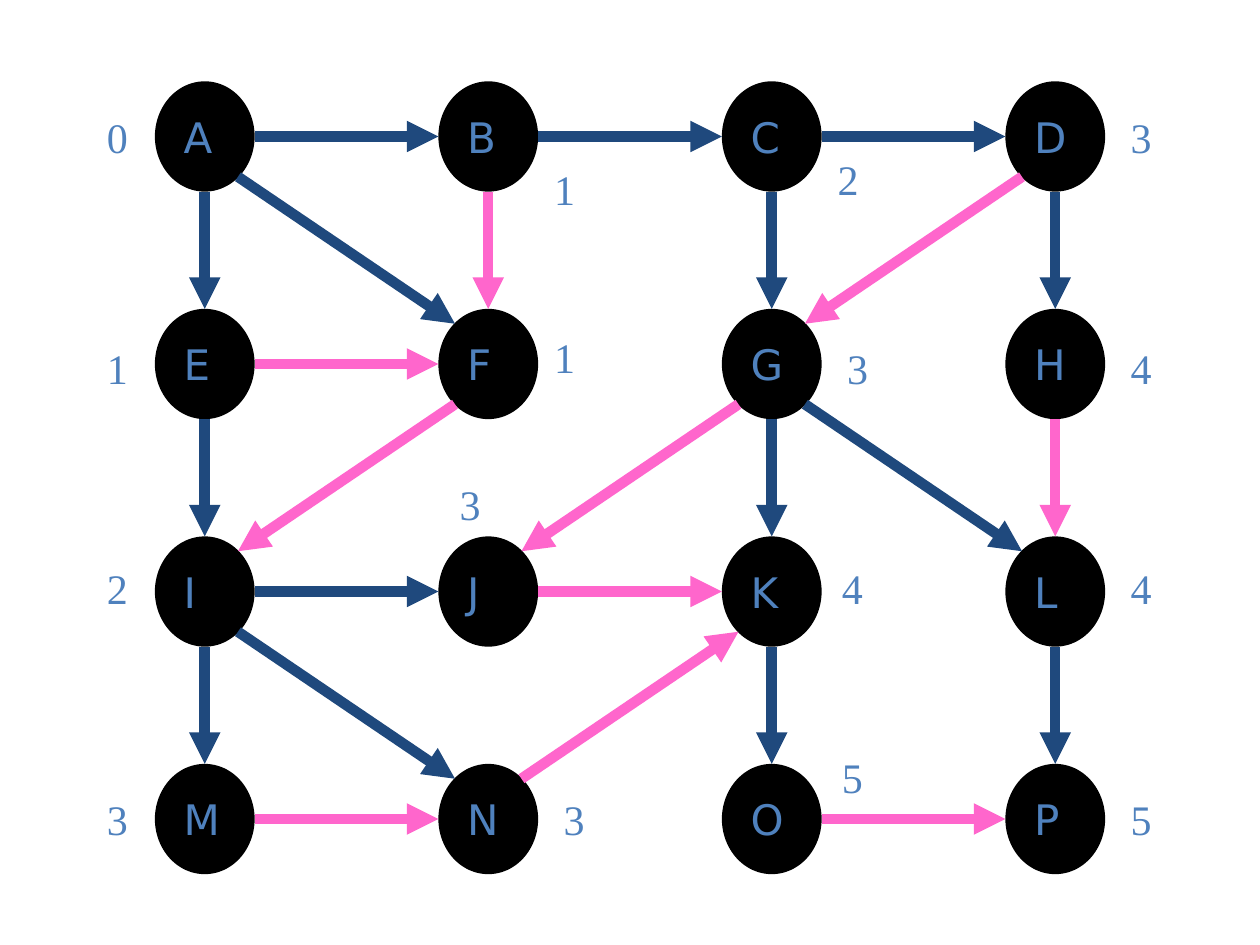
from dataclasses import dataclass

import lxml.etree
import pptx
import pptx.dml.color
import pptx.enum.shapes
import pptx.enum.text
import pptx.oxml.ns
import pptx.util

EMU_PER_PX = 6350
SLIDE_WIDTH, SLIDE_HEIGHT = 1440, 1080
LEFT, TOP = 180, 96
COLUMN_PITCH, ROW_PITCH = 324, 260
NODE_WIDTH, NODE_HEIGHT = 108, 120
OUTLINE_GAP = 3
DIAGONAL_X, DIAGONAL_Y = 38, 46
LABEL_WIDTH, LABEL_HEIGHT = 53, 72

BLACK = pptx.dml.color.RGBColor(0x00, 0x00, 0x00)
WHITE = pptx.dml.color.RGBColor(0xFF, 0xFF, 0xFF)
BLUE = pptx.dml.color.RGBColor(0x4F, 0x81, 0xBD)
NAVY = pptx.dml.color.RGBColor(0x1F, 0x49, 0x7D)
PINK = pptx.dml.color.RGBColor(0xFF, 0x66, 0xCC)


@dataclass(frozen=True)
class Node:
    letter: str
    column: int
    row: int

    @property
    def left(self) -> int:
        return LEFT + self.column * COLUMN_PITCH

    @property
    def top(self) -> int:
        return TOP + self.row * ROW_PITCH

    def rim(self, step_x: int, step_y: int) -> tuple[int, int]:
        if step_x and step_y:
            reach_x, reach_y = DIAGONAL_X, DIAGONAL_Y
        else:
            reach_x = NODE_WIDTH // 2 + OUTLINE_GAP
            reach_y = NODE_HEIGHT // 2 + OUTLINE_GAP
        return (self.left + NODE_WIDTH // 2 + step_x * reach_x,
                self.top + NODE_HEIGHT // 2 + step_y * reach_y)


@dataclass(frozen=True)
class Distance:
    value: int
    left: int
    top: int


NODES = {letter: Node(letter, index % 4, index // 4)
         for index, letter in enumerate("ABCDEFGHIJKLMNOP")}
TREE_EDGES = "AB BC CD AE AF CG DH EI GK GL IJ IM IN KO LP".split()
OTHER_EDGES = "BF DG EF FI GJ HL JK MN NK OP".split()
DISTANCES = [
    Distance(0, 108, 120), Distance(1, 619, 180),
    Distance(2, 943, 168), Distance(3, 1278, 120),
    Distance(1, 108, 384), Distance(1, 619, 372),
    Distance(3, 954, 384), Distance(4, 1278, 384),
    Distance(2, 108, 636), Distance(3, 511, 540),
    Distance(4, 948, 636), Distance(4, 1278, 636),
    Distance(3, 108, 900), Distance(3, 630, 900),
    Distance(5, 948, 852), Distance(5, 1278, 900),
]


def px(length: int) -> pptx.util.Emu:
    return pptx.util.Emu(length * EMU_PER_PX)


def write(frame: pptx.text.text.TextFrame, text: str, font_name: str) -> None:
    frame.text = text
    frame.word_wrap = False
    paragraph = frame.paragraphs[0]
    paragraph.alignment = pptx.enum.text.PP_ALIGN.LEFT
    font = paragraph.runs[0].font
    font.name = font_name
    font.size = pptx.util.Pt(24)
    font.color.rgb = BLUE


def draw_node(slide: pptx.slide.Slide, node: Node) -> None:
    oval = slide.shapes.add_shape(
        pptx.enum.shapes.MSO_SHAPE.OVAL,
        px(node.left), px(node.top), px(NODE_WIDTH), px(NODE_HEIGHT))
    oval.shadow.inherit = False
    oval.fill.solid()
    oval.fill.fore_color.rgb = BLACK
    oval.line.color.rgb = BLACK
    oval.line.width = pptx.util.Pt(3)
    oval.text_frame.vertical_anchor = pptx.enum.text.MSO_ANCHOR.MIDDLE
    write(oval.text_frame, node.letter, "DejaVu Sans")


def sign(number: int) -> int:
    return (number > 0) - (number < 0)


def draw_edge(slide: pptx.slide.Slide, source: Node, target: Node,
              color: pptx.dml.color.RGBColor) -> None:
    step_x = sign(target.column - source.column)
    step_y = sign(target.row - source.row)
    start_x, start_y = source.rim(step_x, step_y)
    end_x, end_y = target.rim(-step_x, -step_y)
    arrow = slide.shapes.add_connector(
        pptx.enum.shapes.MSO_CONNECTOR.STRAIGHT,
        px(start_x), px(start_y), px(end_x), px(end_y))
    arrow.line.color.rgb = color
    arrow.line.width = pptx.util.Pt(6)
    lxml.etree.SubElement(arrow.line._get_or_add_ln(),
                          pptx.oxml.ns.qn("a:tailEnd"), type="triangle")
    lxml.etree.SubElement(arrow._element.spPr, pptx.oxml.ns.qn("a:effectLst"))


def draw_distance(slide: pptx.slide.Slide, distance: Distance) -> None:
    label = slide.shapes.add_textbox(px(distance.left), px(distance.top),
                                     px(LABEL_WIDTH), px(LABEL_HEIGHT))
    label.fill.solid()
    label.fill.fore_color.rgb = WHITE
    label.text_frame.auto_size = pptx.enum.text.MSO_AUTO_SIZE.SHAPE_TO_FIT_TEXT
    write(label.text_frame, str(distance.value), "Times New Roman")


def main() -> None:
    presentation = pptx.Presentation()
    presentation.slide_width = px(SLIDE_WIDTH)
    presentation.slide_height = px(SLIDE_HEIGHT)
    slide = presentation.slides.add_slide(presentation.slide_layouts[6])
    for node in NODES.values():
        draw_node(slide, node)
    for edges, color in ((TREE_EDGES, NAVY), (OTHER_EDGES, PINK)):
        for source, target in edges:
            draw_edge(slide, NODES[source], NODES[target], color)
    for distance in DISTANCES:
        draw_distance(slide, distance)
    presentation.save("out.pptx")


if __name__ == "__main__":
    main()
